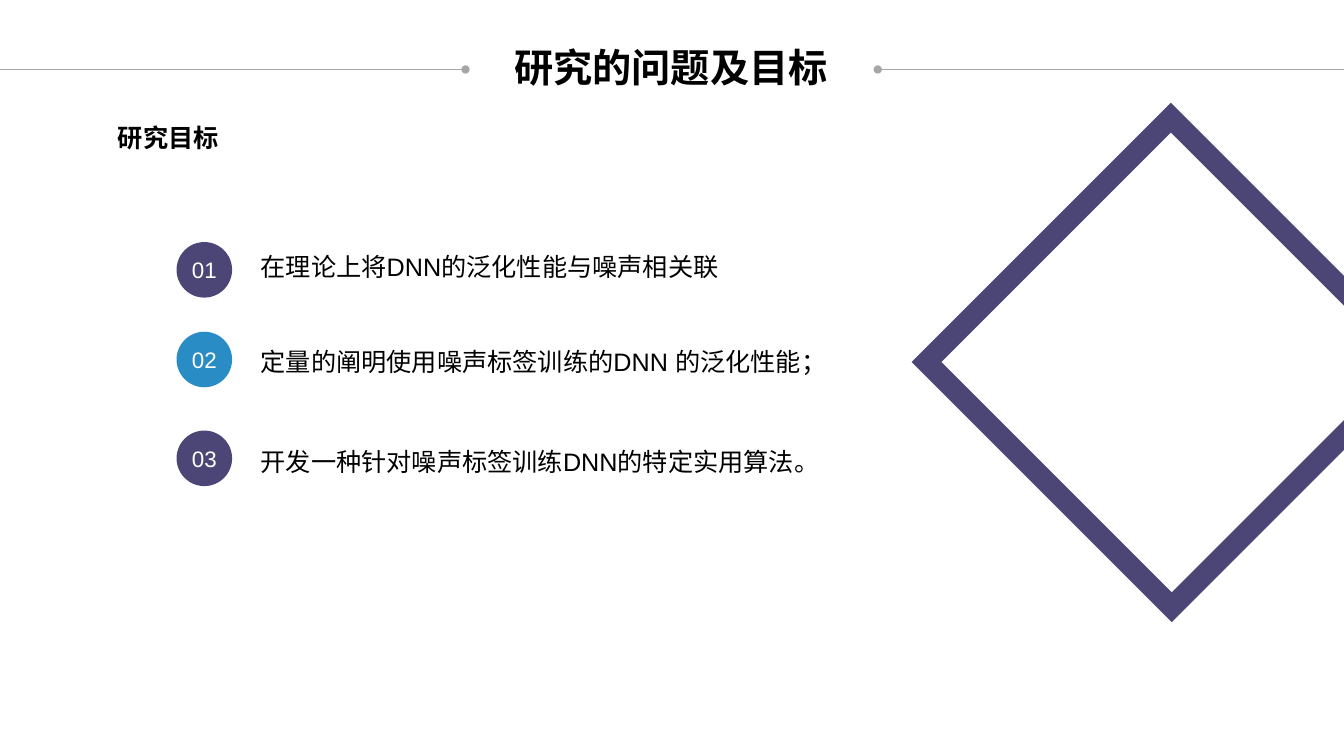
from dataclasses import dataclass

import pptx
import pptx.dml.color
import pptx.enum.shapes
import pptx.enum.text
import pptx.oxml.ns
import pptx.slide
import pptx.text.text
import pptx.util
from lxml import etree

Cm = pptx.util.Cm
RGBColor = pptx.dml.color.RGBColor
Align = pptx.enum.text.PP_ALIGN
Shape = pptx.enum.shapes.MSO_SHAPE

BLACK = RGBColor(0x00, 0x00, 0x00)
WHITE = RGBColor(0xFF, 0xFF, 0xFF)
GRAY = RGBColor(0xA6, 0xA6, 0xA6)
PURPLE = RGBColor(0x4C, 0x46, 0x76)
BLUE = RGBColor(0x29, 0x8C, 0xC5)

WIDTH = 33.87
DISC = 1.4


@dataclass
class Rule:
    start: float
    stop: float
    dot: str  # line end that carries the dot


@dataclass
class Label:
    text: str
    left: float
    top: float
    width: float
    height: float
    size: int = 18
    bold: bool = False
    align: Align = Align.LEFT
    wrap: bool = True


@dataclass
class Goal:
    color: RGBColor
    disc_top: float
    label: Label


RULES = [Rule(0, 11.73, "tailEnd"), Rule(22.12, WIDTH, "headEnd")]
LABELS = [
    Label("研究的问题及目标", 12.67, 0.97, 8.48, 1.45, 28, True, Align.CENTER, False),
    Label("研究目标", 2.72, 2.95, 4.62, 1.02, bold=True),
]
GOALS = [
    Goal(PURPLE, 6.1, Label("在理论上将DNN的泛化性能与噪声相关联", 6.32, 6.2, 14.5, 1.02)),
    Goal(BLUE, 8.36, Label("定量的阐明使用噪声标签训练的DNN 的泛化性能；", 6.32, 8.61, 15.39, 1.02)),
    Goal(PURPLE, 10.85, Label("开发一种针对噪声标签训练DNN的特定实用算法。", 6.32, 11.13, 14.83, 1.8)),
]


def add_tag(parent: etree.ElementBase, name: str, **attrs: str) -> None:
    etree.SubElement(parent, pptx.oxml.ns.qn(name), **attrs)


def set_text(frame: pptx.text.text.TextFrame, text: str, size: int,
             color: RGBColor, align: Align, bold: bool = False) -> None:
    para = frame.paragraphs[0]
    para.text = text
    para.alignment = align
    para.font.name = "Arial"
    para.font.size = pptx.util.Pt(size)
    para.font.bold = bold
    para.font.color.rgb = color


def draw_rule(slide: pptx.slide.Slide, rule: Rule) -> None:
    line = slide.shapes.add_connector(
        pptx.enum.shapes.MSO_CONNECTOR.STRAIGHT,
        Cm(rule.start), Cm(1.75), Cm(rule.stop), Cm(1.75))
    line.line.color.rgb = GRAY
    line.line.width = pptx.util.Pt(0.5)
    add_tag(line.line._get_or_add_ln(), f"a:{rule.dot}", type="oval")
    add_tag(line._element.spPr, "a:effectLst")


def draw_label(slide: pptx.slide.Slide, label: Label) -> None:
    box = slide.shapes.add_textbox(
        Cm(label.left), Cm(label.top), Cm(label.width), Cm(label.height))
    frame = box.text_frame
    frame.word_wrap = label.wrap
    frame.auto_size = pptx.enum.text.MSO_AUTO_SIZE.SHAPE_TO_FIT_TEXT
    set_text(frame, label.text, label.size, BLACK, label.align, label.bold)


def draw_goal(slide: pptx.slide.Slide, goal: Goal, number: int) -> None:
    disc = slide.shapes.add_shape(
        Shape.OVAL, Cm(4.45), Cm(goal.disc_top), Cm(DISC), Cm(DISC))
    disc.shadow.inherit = False
    disc.fill.solid()
    disc.fill.fore_color.rgb = goal.color
    disc.line.fill.background()
    frame = disc.text_frame
    frame.word_wrap = False
    frame.margin_left = frame.margin_right = 0
    frame.margin_top = frame.margin_bottom = 0
    frame.vertical_anchor = pptx.enum.text.MSO_ANCHOR.MIDDLE
    set_text(frame, f"{number:02}", 16, WHITE, Align.CENTER)
    draw_label(slide, goal.label)


def draw_diamond(slide: pptx.slide.Slide) -> None:
    square = slide.shapes.add_shape(
        Shape.RECTANGLE, Cm(25.15), Cm(4.78), Cm(8.74), Cm(8.71))
    square.rotation = 45
    square.shadow.inherit = False
    square.fill.background()
    square.line.color.rgb = PURPLE
    square.line.width = pptx.util.Pt(15)
    add_tag(square.line._get_or_add_ln(), "a:miter", lim="800000")


deck = pptx.Presentation()
deck.slide_width = Cm(WIDTH)
deck.slide_height = Cm(19.05)
slide = deck.slides.add_slide(deck.slide_layouts[6])

# Title with its rules, and the heading
for rule in RULES:
    draw_rule(slide, rule)
for label in LABELS:
    draw_label(slide, label)

# Numbered goals
for number, goal in enumerate(GOALS, 1):
    draw_goal(slide, goal, number)

# Diamond frame at the right edge
draw_diamond(slide)

deck.save("out.pptx")
